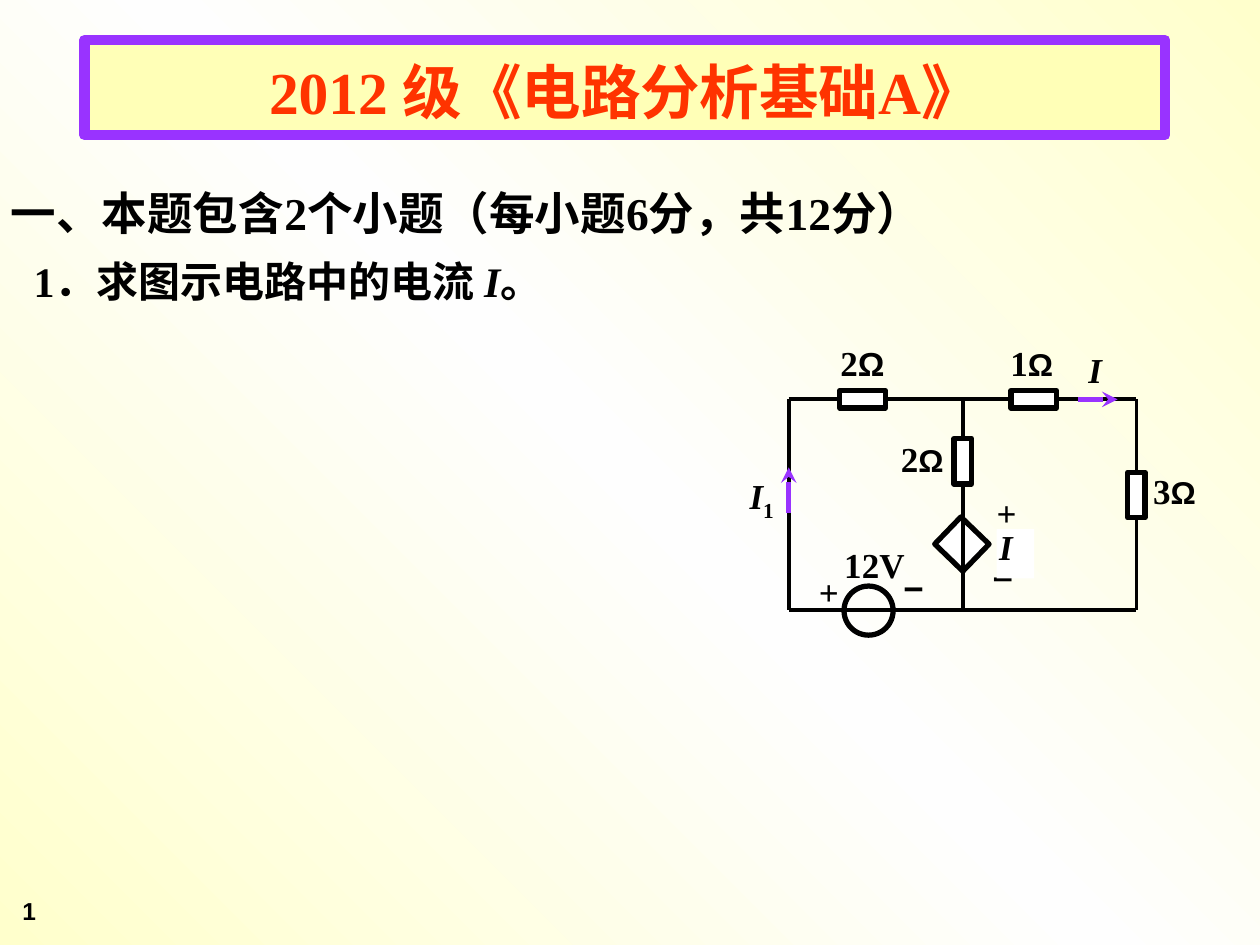
from copy import deepcopy

from pptx import Presentation
from pptx import util as u
from pptx.dml.color import RGBColor
from pptx.enum import shapes, text
from pptx.oxml import ns
from lxml import etree

COLORS = {
    "black": "000000",
    "white": "FFFFFF",
    "cream": "FFFFCC",
    "pale": "FEFEFE",
    "banner": "FFFFB7",
    "purple": "9933FF",
    "red": "FF3300",
}
SERIF = "Times New Roman"
SANS = "Arial"
LEFT, MIDDLE, RIGHT = 15.9, 19.41, 22.91
TOP, BOTTOM = 8.05, 12.29
JUSTIFY = text.PP_ALIGN.JUSTIFY


def color(name):
    return RGBColor.from_string(COLORS[name])


def add_run(paragraph, words, size, font=SERIF, italic=False, fill="black", baseline=None):
    run = paragraph.add_run()
    run.text = words
    run.font.name = font
    run.font.size = u.Pt(size)
    run.font.bold = True
    run.font.italic = italic
    run.font.color.rgb = color(fill)
    if baseline:
        run.font._element.set("baseline", str(baseline))


def set_frame(frame, horizontal, vertical, wrap=True, anchor=text.MSO_ANCHOR.TOP):
    frame.margin_left = frame.margin_right = u.Cm(horizontal)
    frame.margin_top = frame.margin_bottom = u.Cm(vertical)
    frame.word_wrap = wrap
    frame.auto_size = text.MSO_AUTO_SIZE.NONE
    frame.vertical_anchor = anchor


def set_background(slide):
    fill = slide.background.fill
    fill.gradient()
    fill.gradient_angle = 225
    stops = slide.element.find(".//" + ns.qn("a:gsLst"))
    stops.append(deepcopy(stops[0]))
    names = ("cream", "pale", "cream")
    for index, (stop, name) in enumerate(zip(fill.gradient_stops, names)):
        stop.position = index / 2
        stop.color.rgb = color(name)


def add_title(slide):
    title = slide.shapes.title
    title.left, title.top = u.Cm(1.7), u.Cm(0.81)
    title.width, title.height = u.Cm(21.79), u.Cm(1.91)
    title.fill.solid()
    title.fill.fore_color.rgb = color("banner")
    title.line.color.rgb = color("purple")
    title.line.width = u.Pt(6)
    set_frame(title.text_frame, 0.25, 0, anchor=text.MSO_ANCHOR.MIDDLE)
    paragraph = title.text_frame.paragraphs[0]
    paragraph.alignment = text.PP_ALIGN.CENTER
    paragraph.line_spacing = 1.1
    add_run(paragraph, "2012 级《电路分析基础A》", 34, fill="red")


def add_question(slide):
    box = slide.shapes.add_textbox(u.Cm(-0.03), u.Cm(3.28), u.Cm(20.19), u.Cm(3.12))
    frame = box.text_frame
    set_frame(frame, 0.25, 0.13, wrap=False)
    heading = frame.paragraphs[0]
    add_run(heading, "一、本题包含2个小题（每小题6分，共12分）", 26)
    question = frame.add_paragraph()
    question._p.get_or_add_pPr().set("marL", str(u.Cm(0.46)))
    add_run(question, "1．求图示电路中的电流 ", 24)
    add_run(question, "I", 24, italic=True)
    add_run(question, "。", 24)
    for paragraph in frame.paragraphs:
        paragraph.alignment = text.PP_ALIGN.LEFT
        paragraph.line_spacing = 1.3


def add_part(circuit, kind, center_x, center_y, width, height, filled=True):
    part = circuit.shapes.add_shape(
        kind, u.Cm(center_x - width / 2), u.Cm(center_y - height / 2), u.Cm(width), u.Cm(height)
    )
    part.shadow.inherit = False
    if filled:
        part.fill.solid()
        part.fill.fore_color.rgb = color("white")
    else:
        part.fill.background()
    part.line.color.rgb = color("black")
    part.line.width = u.Pt(3)
    return part


def add_resistor(circuit, center_x, center_y, upright=False):
    width, height = (0.35, 0.92) if upright else (0.92, 0.35)
    add_part(circuit, shapes.MSO_SHAPE.RECTANGLE, center_x, center_y, width, height)


def add_wire(circuit, start, end, name="black", width=2.25, arrow=False):
    wire = circuit.shapes.add_connector(
        shapes.MSO_CONNECTOR.STRAIGHT, *[u.Cm(value) for value in start + end]
    )
    wire.line.color.rgb = color(name)
    wire.line.width = u.Pt(width)
    if arrow:
        tail = etree.SubElement(wire.line._get_or_add_ln(), ns.qn("a:tailEnd"))
        tail.set("type", "stealth")
    etree.SubElement(wire._element.spPr, ns.qn("a:effectLst"))


def add_label(circuit, left, top, width, height, spacing=0.88, alignment=JUSTIFY):
    label = circuit.shapes.add_textbox(u.Cm(left), u.Cm(top), u.Cm(width), u.Cm(height))
    set_frame(label.text_frame, 0.05, 0.03)
    paragraph = label.text_frame.paragraphs[0]
    paragraph.alignment = alignment
    paragraph.line_spacing = spacing
    return label, paragraph


def add_sign(circuit, sign, left, top):
    paragraph = add_label(circuit, left, top, 0.99, 0.91, spacing=1.0)[1]
    add_run(paragraph, sign, 20, SERIF if sign == "+" else SANS)


def add_resistance(circuit, value, left, top, width, omega_size=18, alignment=JUSTIFY):
    paragraph = add_label(circuit, left, top, width, 0.97, alignment=alignment)[1]
    add_run(paragraph, value, 20)
    add_run(paragraph, "Ω", omega_size, SANS)


def add_current(circuit, left, top, width, height, subscript=None):
    label, paragraph = add_label(circuit, left, top, width, height)
    add_run(paragraph, "I", 20, italic=True)
    if subscript:
        add_run(paragraph, subscript, 21, baseline=-25000)
    return label


def add_circuit(slide):
    circuit = slide.shapes.add_group_shape()
    add_part(circuit, shapes.MSO_SHAPE.OVAL, 17.51, 12.31, 0.99, 0.99, filled=False)
    source = add_part(circuit, shapes.MSO_SHAPE.RECTANGLE, 19.39, 10.97, 0.79, 0.76)
    source.rotation = 44

    for height in (TOP, BOTTOM):
        add_wire(circuit, (LEFT, height), (RIGHT, height))
    for column in (LEFT, MIDDLE, RIGHT):
        add_wire(circuit, (column, TOP), (column, BOTTOM))
    for center_x in (17.39, 20.84):
        add_resistor(circuit, center_x, TOP)
    add_resistor(circuit, MIDDLE, 9.3, upright=True)
    add_resistor(circuit, RIGHT, 9.98, upright=True)
    add_wire(circuit, (21.74, TOP), (22.53, TOP), "purple", 3, arrow=True)
    add_wire(circuit, (LEFT, 10.34), (LEFT, 9.42), "purple", 3, arrow=True)

    add_resistance(circuit, "2", 16.89, 6.96, 1.3, omega_size=19)
    add_resistance(circuit, "1", 20.32, 6.96, 1.32)
    add_resistance(circuit, "2", 18.11, 8.89, 1.35)
    add_resistance(circuit, "3", 22.76, 9.55, 1.4, alignment=text.PP_ALIGN.RIGHT)
    voltage = add_label(circuit, 16.97, 10.92, 1.98, 0.97, spacing=1.0)[1]
    add_run(voltage, "12V", 20)
    for sign, left, top in (
        ("+", 16.46, 11.48), ("−", 18.16, 11.4), ("+", 20.04, 9.88), ("−", 19.96, 11.18)
    ):
        add_sign(circuit, sign, left, top)
    add_current(circuit, 21.89, 7.11, 0.89, 0.89)
    add_current(circuit, 15.06, 9.53, 0.89, 0.89, subscript="1")
    controlled = add_current(circuit, 20.09, 10.67, 0.76, 0.99)
    controlled.fill.solid()
    controlled.fill.fore_color.rgb = color("white")


def add_page_number(slide):
    box = slide.shapes.add_textbox(u.Cm(0.2), u.Cm(17.93), u.Cm(1.5), u.Cm(0.91))
    set_frame(box.text_frame, 0.25, 0.13)
    add_run(box.text_frame.paragraphs[0], "1", 14, SANS)


def main():
    presentation = Presentation()
    presentation.slide_width, presentation.slide_height = u.Cm(25.4), u.Cm(19.05)
    slide = presentation.slides.add_slide(presentation.slide_layouts[5])
    set_background(slide)
    add_title(slide)
    add_question(slide)
    add_circuit(slide)
    add_page_number(slide)
    presentation.save("out.pptx")


if __name__ == "__main__":
    main()
